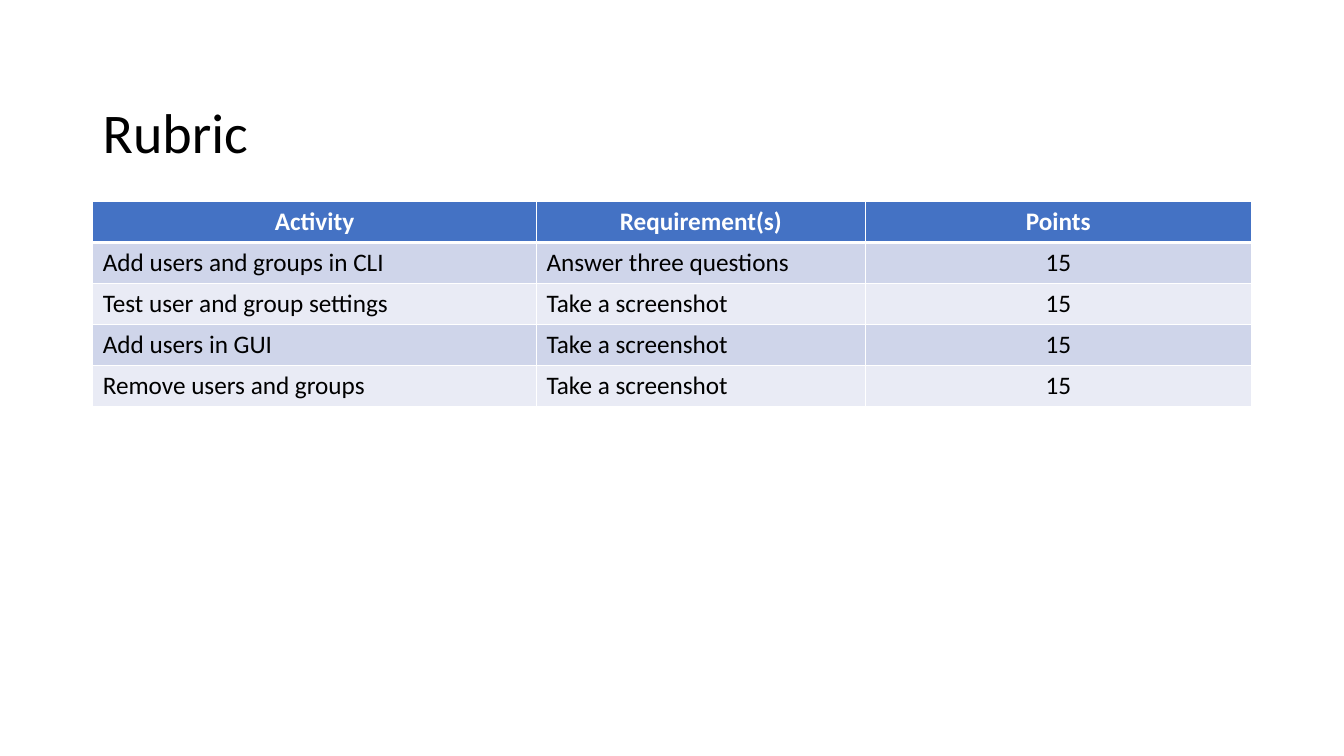
from lxml import etree
from pptx import Presentation
from pptx.dml.color import RGBColor
from pptx.enum.text import MSO_ANCHOR, PP_ALIGN
from pptx.oxml.ns import qn
from pptx.util import Inches, Pt

TITLE = "Rubric"
HEAD = ("Activity", "Requirement(s)", "Points")
TASKS = [
    ("Add users and groups in CLI", "Answer three questions", "15"),
    ("Test user and group settings", "Take a screenshot", "15"),
    ("Add users in GUI", "Take a screenshot", "15"),
    ("Remove users and groups", "Take a screenshot", "15"),
]
ROWS = [HEAD] + TASKS

FONT = "Calibri"
BLACK = RGBColor(0x00, 0x00, 0x00)
WHITE = RGBColor(0xFF, 0xFF, 0xFF)
BLUE = RGBColor(0x44, 0x72, 0xC4)
BANDS = (RGBColor(0xE9, 0xEB, 0xF5), RGBColor(0xCF, 0xD5, 0xEA))
LEFT, CENTER = PP_ALIGN.LEFT, PP_ALIGN.CENTER
MIDDLE = MSO_ANCHOR.MIDDLE

WIDE, HIGH = Inches(13.33), Inches(7.5)
EDGE = Inches(0.92)
SPAN = WIDE - 2 * EDGE
SHARES = (0.383, 0.284, 0.333)
ROW = Inches(0.406)


def write(para, text, size, color, bold=False):
    run = para.add_run()
    run.text = text
    font = run.font
    font.name, font.size, font.bold = FONT, Pt(size), bold
    font.color.rgb = color


def border(cell, base):
    """Draw white cell edges, with the bottom one base points wide."""
    props = cell._tc.get_or_add_tcPr()
    for side, width in (("L", 1), ("R", 1), ("T", 1), ("B", base)):
        line = etree.SubElement(props, qn("a:ln" + side), w=str(Pt(width)))
        fill = etree.SubElement(line, qn("a:solidFill"))
        etree.SubElement(fill, qn("a:srgbClr"), val=str(WHITE))


def add_title(slide):
    box = slide.shapes.add_textbox(EDGE, Inches(0.83), SPAN, Inches(1.02))
    frame = box.text_frame
    frame.word_wrap = True
    frame.vertical_anchor = MIDDLE
    para = frame.paragraphs[0]
    para.line_spacing = 0.9
    write(para, TITLE, 40, BLACK)


def add_rubric(slide):
    table = slide.shapes.add_table(
        len(ROWS), len(HEAD), EDGE, Inches(2), SPAN, ROW * len(ROWS)).table
    for col, share in zip(table.columns, SHARES):
        col.width = int(SPAN * share)
    for r, texts in enumerate(ROWS):
        table.rows[r].height = ROW
        top = r == 0
        for c, text in enumerate(texts):
            cell = table.cell(r, c)
            border(cell, 3 if top else 1)
            cell.fill.solid()
            cell.fill.fore_color.rgb = BLUE if top else BANDS[r % 2]
            para = cell.text_frame.paragraphs[0]
            para.alignment = CENTER if top or c == 2 else LEFT
            write(para, text, 18, WHITE if top else BLACK, top)


def main():
    deck = Presentation()
    deck.slide_width, deck.slide_height = WIDE, HIGH
    slide = deck.slides.add_slide(deck.slide_layouts[6])
    add_title(slide)
    add_rubric(slide)
    deck.save("out.pptx")


if __name__ == "__main__":
    main()
